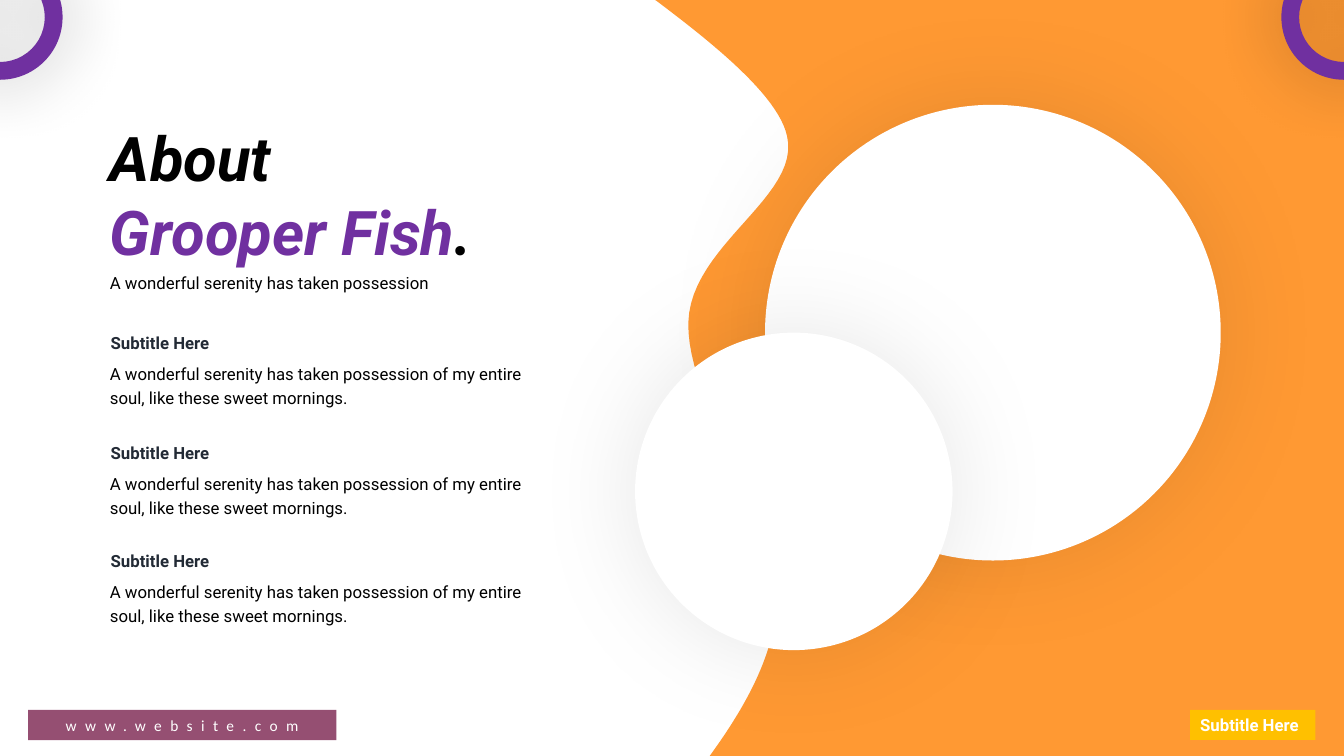
import pptx
import pptx.util
import pptx.dml.color
import pptx.enum.shapes
import pptx.enum.text
import pptx.oxml
import pptx.oxml.ns

RGBColor = pptx.dml.color.RGBColor
SHAPES = pptx.enum.shapes.MSO_SHAPE
ALIGN = pptx.enum.text.PP_ALIGN
ANCHOR = pptx.enum.text.MSO_ANCHOR
FIT = pptx.enum.text.MSO_AUTO_SIZE

ORANGE = RGBColor(0xFF, 0x99, 0x33)
PURPLE = RGBColor(0x70, 0x30, 0xA0)
PLUM = RGBColor(0x95, 0x4F, 0x72)
AMBER = RGBColor(0xFF, 0xC0, 0x00)
SLATE = RGBColor(0x22, 0x2A, 0x35)
WHITE = RGBColor(0xFF, 0xFF, 0xFF)
BLACK = RGBColor(0, 0, 0)

COLUMNS, ROWS = 32, 18
LEFT = 2.38
WAVE_START = (15.67, 0.05)
WAVE_CURVES = [
    ((16.9, 0.98), (18.53, 2.26), (18.74, 3.24)),
    ((19.08, 4.68), (16.44, 5.83), (16.39, 7.68)),
    ((16.34, 9.53), (18.5, 12.46), (18.48, 14.35)),
    ((18.46, 15.53), (17.78, 16.73), (17.14, 17.66)),
]


def bezier_points(start, curves, steps=24):
    """Points along a chain of cubic curves, without its start."""
    points = []
    for first, second, end in curves:
        for step in range(1, steps + 1):
            t = step / steps
            weights = ((1 - t) ** 3, 3 * t * (1 - t) ** 2, 3 * t * t * (1 - t), t ** 3)
            corners = (start, first, second, end)
            points.append(tuple(sum(w * c[axis] for w, c in zip(weights, corners))
                                for axis in (0, 1)))
        start = end
    return points


class SlideBuilder:
    """Draws on one slide; lengths are cells of a 32 by 18 grid."""

    font = "Roboto"
    size = 12

    def __init__(self, presentation):
        self.slide = presentation.slides.add_slide(presentation.slide_layouts[6])
        self.cell_width = presentation.slide_width / COLUMNS
        self.cell_height = presentation.slide_height / ROWS

    def cells(self, column, row):
        return round(column * self.cell_width), round(row * self.cell_height)

    def paint(self, shape, colour):
        shape.shadow.inherit = False
        shape.fill.solid()
        shape.fill.fore_color.rgb = colour
        shape.line.fill.background()
        return shape

    def outline(self, points, colour):
        start, *others = [self.cells(*point) for point in points]
        builder = self.slide.shapes.build_freeform(*start)
        builder.add_line_segments(others, close=True)
        return self.paint(builder.convert_to_shape(), colour)

    def block(self, kind, column, row, width, height, colour):
        shape = self.slide.shapes.add_shape(
            kind, *self.cells(column, row), *self.cells(width, height))
        return self.paint(shape, colour)

    def glowing_round(self, kind, centre, diameter, colour, blur, opacity):
        """A round shape with a soft shadow; blur in points, opacity in percent."""
        column, row = (place - diameter / 2 for place in centre)
        shape = self.block(kind, column, row, diameter, diameter, colour)
        effects = shape._element.spPr.find(pptx.oxml.ns.qn("a:effectLst"))
        effects.append(pptx.oxml.parse_xml(
            f'<a:outerShdw {pptx.oxml.ns.nsdecls("a")} blurRad="{pptx.util.Pt(blur)}" '
            'dist="0" dir="0" algn="ctr" rotWithShape="0"><a:srgbClr val="000000">'
            f'<a:alpha val="{opacity * 1000}"/></a:srgbClr></a:outerShdw>'))
        return shape

    def style(self, paragraph, colour, size=None, font=None, bold=None, italic=None):
        for run in paragraph.runs:
            run.font.name = font or self.font
            run.font.size = pptx.util.Pt(size or self.size)
            run.font.bold = bold
            run.font.italic = italic
            run.font.color.rgb = colour

    def text(self, words, column, row, width, height, colour=BLACK, spacing=None, **look):
        box = self.slide.shapes.add_textbox(
            *self.cells(column, row), *self.cells(width, height))
        frame = box.text_frame
        frame.word_wrap = True
        frame.auto_size = FIT.SHAPE_TO_FIT_TEXT
        frame.text = words
        for paragraph in frame.paragraphs:
            paragraph.line_spacing = spacing
            self.style(paragraph, colour, **look)
        return frame

    def label(self, words, column, width, colour, kind=SHAPES.RECTANGLE,
              align=ALIGN.LEFT, anchor=ANCHOR.TOP, **look):
        """A filled strip with white text at the foot of the slide."""
        strip = self.block(kind, column, 16.9, width, 0.72, colour)
        frame = strip.text_frame
        frame.vertical_anchor = anchor
        frame.text = words
        frame.paragraphs[0].alignment = align
        self.style(frame.paragraphs[0], WHITE, **look)
        return strip


def main():
    presentation = pptx.Presentation()
    presentation.slide_width = pptx.util.Inches(13.333)
    presentation.slide_height = pptx.util.Inches(7.5)
    page = SlideBuilder(presentation)

    page.outline([(15.6, 0), WAVE_START, *bezier_points(WAVE_START, WAVE_CURVES),
                  (16.9, ROWS), (COLUMNS, ROWS), (COLUMNS, 0)], ORANGE)
    for centre, diameter in (((23.64, 7.92), 10.85), ((18.9, 11.7), 7.56)):
        page.glowing_round(SHAPES.OVAL, centre, diameter, WHITE, blur=77, opacity=9)

    page.text("A wonderful serenity has taken possession", LEFT, 6.14, 10.61, 0.89,
              spacing=1.5)
    title = page.text("About\nGrooper Fish", LEFT, 2.74, 12.53, 3.79,
                      size=44, bold=True, italic=True)
    topic = title.paragraphs[1]
    topic.add_run().text = "."
    page.style(topic, BLACK, size=44, bold=True, italic=True)
    topic.runs[0].font.color.rgb = PURPLE

    for row in (7.66, 10.27, 12.84):
        page.text("A wonderful serenity has taken possession of my entire soul, "
                  "like these sweet mornings.", LEFT, row + 0.79, 10.58, 1.34, spacing=1.2)
        page.text("Subtitle Here", LEFT + 0.02, row, 3.02, 0.82, SLATE,
                  spacing=1.3, bold=True)

    badge = page.label("Subtitle Here", 28.34, 2.98, AMBER, bold=True)
    badge.text_frame.word_wrap = False
    badge.text_frame.auto_size = FIT.SHAPE_TO_FIT_TEXT

    website = page.label("www.website.com", 0.67, 7.34, PLUM, SHAPES.ROUNDED_RECTANGLE,
                         ALIGN.CENTER, ANCHOR.MIDDLE, font="Calibri", size=11)
    website.adjustments[0] = 0
    letters = website.text_frame.paragraphs[0].runs[0]
    letters._r.get_or_add_rPr().set("spc", "600")

    for column in (0, COLUMNS):
        ring = page.glowing_round(SHAPES.DONUT, (column, 0.41), 2.98, PURPLE,
                                  blur=49, opacity=33)
        ring.adjustments[0] = 0.142

    presentation.save("out.pptx")


if __name__ == "__main__":
    main()
